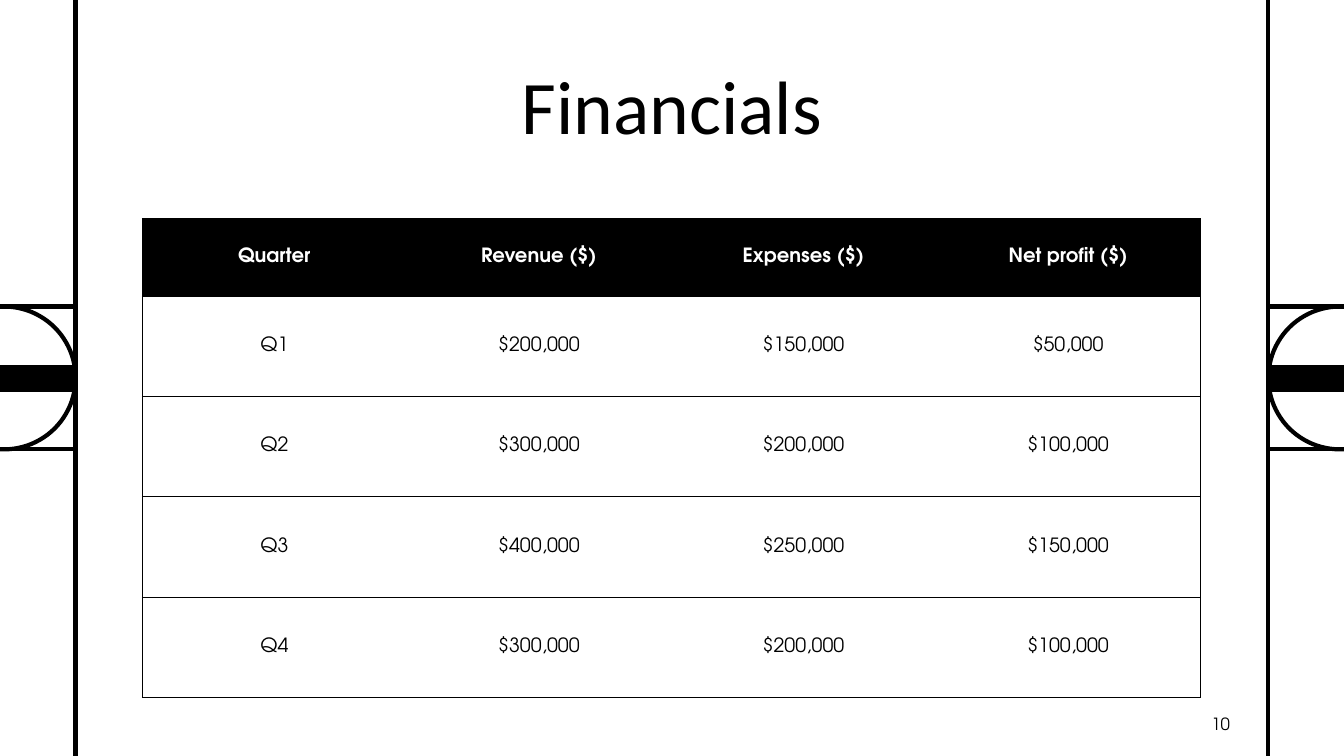
from math import cos, pi, sin

from lxml.etree import SubElement
from pptx import Presentation
from pptx.dml.color import RGBColor
from pptx.enum.shapes import MSO_CONNECTOR, MSO_SHAPE
from pptx.enum.text import MSO_ANCHOR, PP_ALIGN
from pptx.oxml import parse_xml
from pptx.oxml.ns import nsdecls, qn
from pptx.util import Pt

BLACK, WHITE = "000000", "FFFFFF"
BODY_FONT = "TeX Gyre Adventor"
WIDTH, HEIGHT = 960, 540


def paint(color_format, color):
    """Apply a hex colour to a fill, line or font colour."""
    color_format.rgb = RGBColor.from_string(color)


def add_text(frame, text, size, font, align, anchor, color=BLACK, bold=False):
    frame.word_wrap = True
    frame.vertical_anchor = anchor
    para = frame.paragraphs[0]
    para.alignment = align
    span = para.add_run()
    span.text = text
    span.font.size = Pt(size)
    span.font.name = font
    span.font.bold = bold
    paint(span.font.color, color)
    return para


deck = Presentation()
deck.slide_width, deck.slide_height = Pt(WIDTH), Pt(HEIGHT)
page = deck.slides.add_slide(deck.slide_layouts[6])
page.background.fill.solid()
paint(page.background.fill.fore_color, WHITE)

# Side ornaments, mirrored left and right
RAIL, TOP, BOTTOM = 54, 219, 321
RADIUS, ARC_INSET, ARC_STEPS = 51, 3, 48
BAND_TOP, BAND_HEIGHT = 261.4, 18
middle = (TOP + BOTTOM) / 2

for edge, inward in ((0, 1), (WIDTH, -1)):
    rail_x = edge + inward * RAIL
    angles = [pi * (step / ARC_STEPS - 0.5) for step in range(ARC_STEPS + 1)]
    outline = [
        (Pt(edge + inward * (ARC_INSET + RADIUS * cos(angle))),
         Pt(middle + RADIUS * sin(angle)))
        for angle in angles
    ]
    builder = page.shapes.build_freeform(Pt(edge), Pt(TOP))
    builder.add_line_segments(outline + [(Pt(edge), Pt(BOTTOM))], close=False)
    arc = builder.convert_to_shape()
    arc.shadow.inherit = False
    arc.fill.background()
    arc.line.width = Pt(3)
    paint(arc.line.color, BLACK)

    band = page.shapes.add_shape(
        MSO_SHAPE.RECTANGLE, Pt(min(edge, rail_x)), Pt(BAND_TOP), Pt(RAIL), Pt(BAND_HEIGHT))
    band.shadow.inherit = False
    band.fill.solid()
    paint(band.fill.fore_color, BLACK)
    band.line.width = Pt(1)
    paint(band.line.color, BLACK)

    for x1, y1, x2, y2 in ((rail_x, 0, rail_x, HEIGHT),
                           (rail_x, TOP, edge, TOP),
                           (rail_x, BOTTOM, edge, BOTTOM)):
        rule = page.shapes.add_connector(
            MSO_CONNECTOR.STRAIGHT, Pt(x1), Pt(y1), Pt(x2), Pt(y2))
        rule.line.width = Pt(3)
        paint(rule.line.color, BLACK)
        SubElement(rule._element.spPr, qn("a:effectLst"))

# Title and page number
title = page.shapes.add_textbox(Pt(RAIL), Pt(24), Pt(WIDTH - 2 * RAIL), Pt(111))
heading = add_text(title.text_frame, "Financials", 54, "Calibri",
                   PP_ALIGN.CENTER, MSO_ANCHOR.MIDDLE)
heading.line_spacing = 0.85

number = page.shapes.add_textbox(Pt(801), Pt(504), Pt(87), Pt(25))
add_text(number.text_frame, "10", 12, BODY_FONT, PP_ALIGN.RIGHT, MSO_ANCHOR.BOTTOM)
for box in (title, number):
    frame = box.text_frame
    frame.margin_left = frame.margin_right = Pt(9.4)
    frame.margin_top = frame.margin_bottom = Pt(5)

# Quarterly table
rows = [
    ("Quarter", "Revenue ($)", "Expenses ($)", "Net profit ($)"),
    ("Q1", "$200,000", "$150,000", "$50,000"),
    ("Q2", "$300,000", "$200,000", "$100,000"),
    ("Q3", "$400,000", "$250,000", "$150,000"),
    ("Q4", "$300,000", "$200,000", "$100,000"),
]
HEADER_HEIGHT, ROW_HEIGHT, COLUMN_WIDTH = 55.3, 71.7, 189
last_column = len(rows[0]) - 1
table = page.shapes.add_table(
    len(rows), len(rows[0]), Pt(101.5), Pt(156.2), Pt(COLUMN_WIDTH * len(rows[0])),
    Pt(HEADER_HEIGHT + ROW_HEIGHT * (len(rows) - 1))).table
for column in table.columns:
    column.width = Pt(COLUMN_WIDTH)

for r, values in enumerate(rows):
    is_header = r == 0
    table.rows[r].height = Pt(HEADER_HEIGHT if is_header else ROW_HEIGHT)
    for c, value in enumerate(values):
        cell = table.cell(r, c)
        cell.vertical_anchor = MSO_ANCHOR.MIDDLE
        add_text(cell.text_frame, value, 14, BODY_FONT, PP_ALIGN.CENTER,
                 MSO_ANCHOR.MIDDLE, WHITE if is_header else BLACK, is_header)
        if is_header:
            cell.fill.solid()
            paint(cell.fill.fore_color, BLACK)
        else:
            cell.fill.background()
        borders = (("lnL", c == 0), ("lnR", c == last_column), ("lnT", True), ("lnB", True))
        for position, (side, visible) in enumerate(borders):
            ink = f'<a:solidFill><a:srgbClr val="{BLACK}"/></a:solidFill>' if visible else "<a:noFill/>"
            border = parse_xml(f'<a:{side} {nsdecls("a")} w="{Pt(0.5)}">{ink}</a:{side}>')
            cell._tc.get_or_add_tcPr().insert(position, border)

deck.save("out.pptx")
